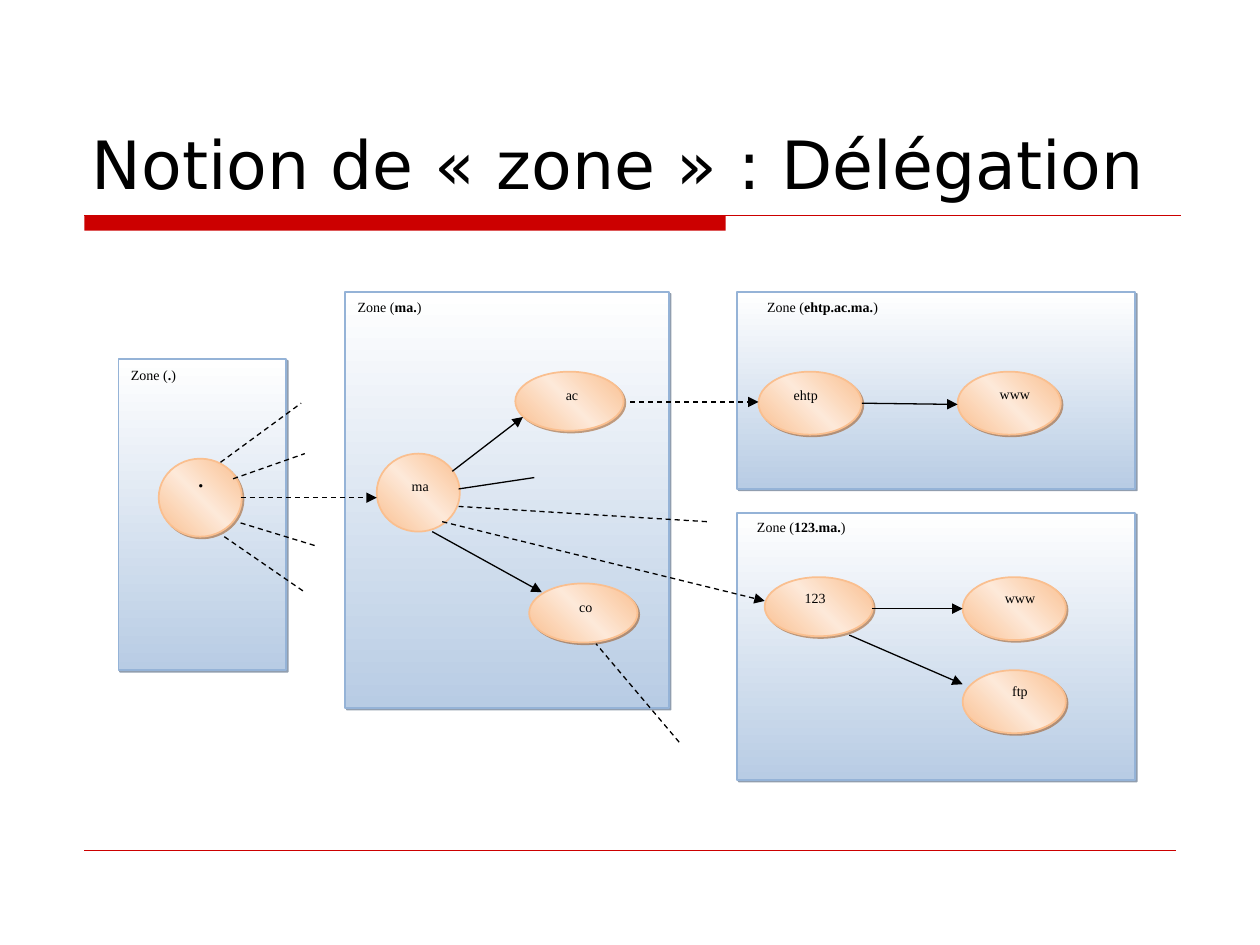
from lxml.etree import SubElement
from pptx import Presentation
from pptx.dml.color import RGBColor
from pptx.enum.dml import MSO_LINE
from pptx.enum.shapes import MSO_CONNECTOR, MSO_SHAPE
from pptx.enum.text import MSO_ANCHOR, PP_ALIGN
from pptx.oxml.ns import qn
from pptx.util import Pt

RECT, OVAL = MSO_SHAPE.RECTANGLE, MSO_SHAPE.OVAL
STRAIGHT, DASH = MSO_CONNECTOR.STRAIGHT, MSO_LINE.DASH
LEFT, CENTER = PP_ALIGN.LEFT, PP_ALIGN.CENTER
TOP, BOTTOM = MSO_ANCHOR.TOP, MSO_ANCHOR.BOTTOM

RED, BLACK = "CC0000", "000000"
ZONE = {"stops": ["FFFFFF", "B8CCE4"], "angle": 270, "line": "95B3D7", "shadow": "243F60"}
NODE = {"stops": ["FABF8F", "FDE9D9", "FABF8F"], "angle": 45, "line": "FABF8F", "shadow": "974706"}

# width, height and label width
ROUND, WIDE, HOST = (47.5, 44.6, 36.7), (61.9, 33.8, 64.8), (59, 36, 71.3)

ZONES = [
    (".", (67.7, 205.2, 95.8, 177.8), (0, 0.7)),
    ("ma.", (197.3, 167, 185, 237.6), (0, 0)),
    ("ehtp.ac.ma.", (421.2, 167, 227.5, 112.3), (10.1, 0)),
    ("123.ma.", (421.2, 293, 227.5, 152.6), (4.3, 0)),
]
NODES = [
    (".", 90.7, 262.1, ROUND, (5.8, -2.9), 16, True),
    ("ma", 215.3, 259.2, ROUND, (6.5, 10.1), 8, False),
    ("ac", 294.5, 212.4, WIDE, (0, 5), 8, True),
    ("co", 302.4, 333.4, WIDE, (0, 5), 8, True),
    ("123", 437, 329.8, WIDE, (-3.6, 3.6), 8, True),
    ("ehtp", 433.4, 212.4, HOST, (-8.6, 5), 8, True),
    ("www", 547.2, 212.4, HOST, (-2.9, 4.3), 8, True),
    ("www", 550.1, 329.8, HOST, (-2.9, 3.6), 8, True),
    ("ftp", 550.1, 383, HOST, (-2.9, 3.6), 8, True),
]
DELEGATIONS = [
    (137.5, 284.4, 215.3, 284.4),
    (252.7, 298.1, 437, 343.4),
    (360, 229.7, 433.4, 229.7),
]
CHILDREN = [
    (258.5, 269.3, 298.8, 238.3),
    (247, 303.8, 309.6, 338.4),
    (492.5, 230.4, 547.2, 231.1),
    (498.2, 347.8, 550.1, 347.8),
    (485.3, 362.9, 550.1, 391),
]
OPEN_ENDS = [
    (126, 264.2, 172.1, 230.4),
    (133.2, 273.6, 174.2, 259.2),
    (137.5, 298.8, 180, 311.8),
    (128.2, 306.7, 174.2, 338.4),
    (403.9, 298.1, 262.1, 289.4),
    (388.1, 424.1, 340.6, 367.9),
]


def rgb(value):
    """Return the colour for a hex string."""
    return RGBColor.from_string(value)


class Deck:
    """Holds the style and the current slide."""

    title_font, label_font = "DejaVu Sans", "Times New Roman"

    def __init__(self, width, height):
        """Start a deck with one blank slide."""
        self.prs = Presentation()
        self.prs.slide_width, self.prs.slide_height = Pt(width), Pt(height)
        self.s = self.prs.slides.add_slide(self.prs.slide_layouts[6])

    def text(self, box, runs, size=8, font=label_font, align=LEFT, anchor=TOP):
        """Add a text box from (text, bold) runs."""
        tf = self.s.shapes.add_textbox(*map(Pt, box)).text_frame
        tf.word_wrap, tf.vertical_anchor = True, anchor
        p = tf.paragraphs[0]
        p.alignment = align
        for text, bold in runs:
            r = p.add_run()
            r.text = text
            for name, value in {"size": Pt(size), "name": font, "bold": bold}.items():
                setattr(r.font, name, value)
            r.font.color.rgb = rgb(BLACK)

    def bar(self, box, color):
        """Add a plain filled rectangle."""
        sp = self.s.shapes.add_shape(RECT, *map(Pt, box))
        sp.shadow.inherit = False
        sp.fill.solid()
        sp.fill.fore_color.rgb = rgb(color)
        sp.line.fill.background()

    def panel(self, kind, box, style, shadow=True):
        """Add a gradient shape with an optional offset shadow."""
        sp = self.s.shapes.add_shape(kind, *map(Pt, box))
        sp.shadow.inherit = False
        sp.fill.gradient()
        sp.fill.gradient_angle = style["angle"]
        sp.line.color.rgb, sp.line.width = rgb(style["line"]), Pt(1)
        props = sp._element.spPr
        stops = props.find(qn("a:gradFill")).find(qn("a:gsLst"))
        for old in list(stops):
            stops.remove(old)
        step = 100000 // (len(style["stops"]) - 1)
        for i, color in enumerate(style["stops"]):
            stop = SubElement(stops, qn("a:gs"), pos=str(i * step))
            SubElement(stop, qn("a:srgbClr"), val=color)
        if shadow:
            outer = SubElement(props.find(qn("a:effectLst")), qn("a:outerShdw"),
                               dist=str(Pt(1.4)), dir="2700000", algn="ctr", rotWithShape="0")
            color = SubElement(outer, qn("a:srgbClr"), val=style["shadow"])
            SubElement(color, qn("a:alpha"), val="50000")

    def link(self, ends, color=BLACK, width=0.75, dash=False, arrow=False):
        """Add a straight line, dashed or with an arrowhead on request."""
        c = self.s.shapes.add_connector(STRAIGHT, *map(Pt, ends))
        c.line.color.rgb, c.line.width = rgb(color), Pt(width)
        if dash:
            c.line.dash_style = DASH
        props = c._element.spPr
        if arrow:
            SubElement(props.find(qn("a:ln")), qn("a:tailEnd"), type="triangle")
        SubElement(props, qn("a:effectLst"))

    def zone(self, name, box, offset):
        """Add a zone with its caption."""
        self.panel(RECT, box, ZONE)
        width = 64.8 if name == "." else 112.3
        self.text((box[0] + offset[0], box[1] + offset[1], width, 25.2),
                  [("Zone (", False), (name, True), (")", False)])

    def node(self, name, x, y, form, offset, size, shadow):
        """Add a domain node with its label."""
        w, h, label_w = form
        self.panel(OVAL, (x, y, w, h), NODE, shadow)
        self.text((x + offset[0], y + offset[1], label_w, 25.2), [(name, False)],
                  size, align=CENTER)


def main():
    """Build the slide and save it."""
    deck = Deck(720, 540)
    deck.bar((48.2, 123.1, 366.5, 8.7), RED)
    deck.link((48.2, 123.1, 674.6, 123.1), RED)
    deck.link((48.2, 486, 671.8, 486), RED, 0.25)
    deck.text((45.4, 23.8, 630, 95.8), [("Notion de « zone » : Délégation", False)],
              38, deck.title_font, anchor=BOTTOM)
    for zone in ZONES:
        deck.zone(*zone)
    for node in NODES:
        deck.node(*node)
    for ends in DELEGATIONS:
        deck.link(ends, dash=True, arrow=True)
    for ends in CHILDREN:
        deck.link(ends, arrow=True)
    for ends in OPEN_ENDS:
        deck.link(ends, dash=True)
    deck.link((305.3, 272.9, 262.1, 279.4))
    deck.prs.save("out.pptx")


if __name__ == "__main__":
    main()
